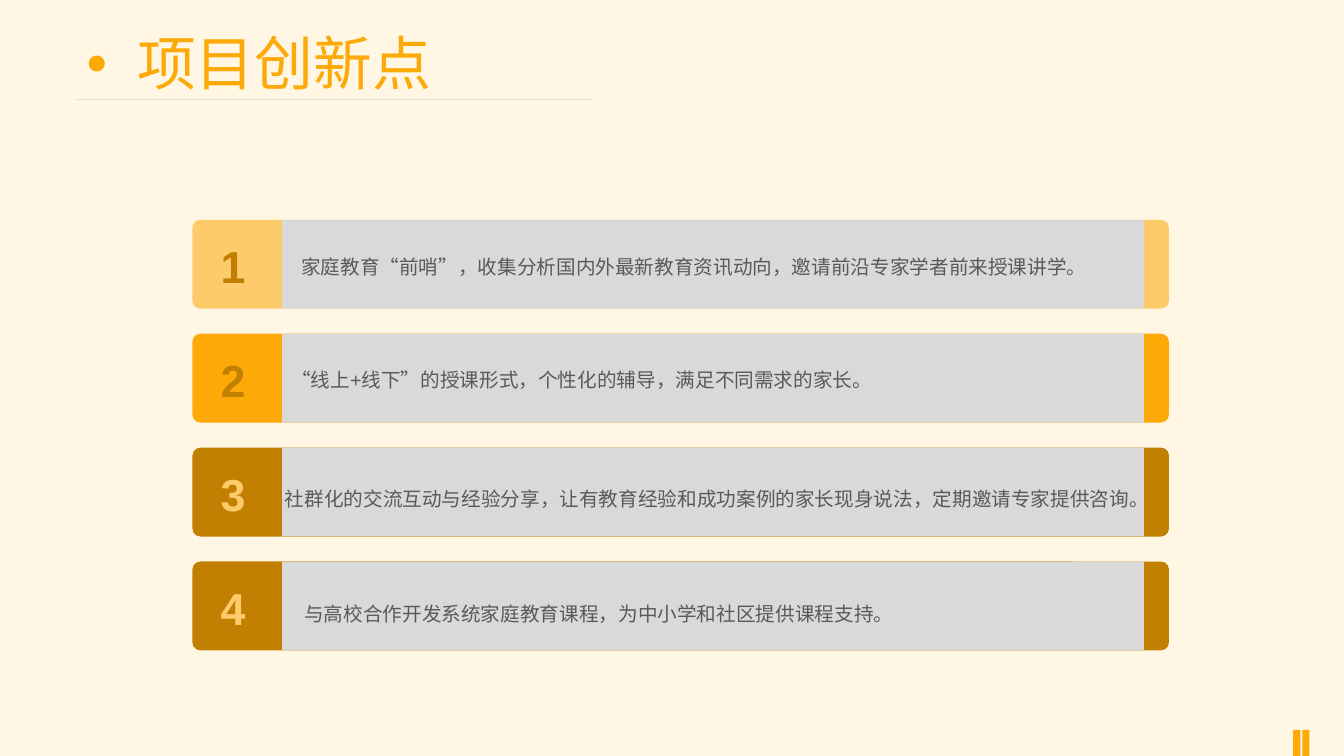
from lxml import etree
from pptx import Presentation
from pptx.dml.color import RGBColor
from pptx.enum.shapes import MSO_CONNECTOR, MSO_SHAPE
from pptx.enum.text import MSO_ANCHOR, MSO_AUTO_SIZE, PP_ALIGN
from pptx.oxml.ns import qn
from pptx.util import Cm, Pt

RECTANGLE = MSO_SHAPE.RECTANGLE
ROUNDED = MSO_SHAPE.ROUNDED_RECTANGLE
STRAIGHT = MSO_CONNECTOR.STRAIGHT
TOP = MSO_ANCHOR.TOP
LEFT = PP_ALIGN.LEFT
NO_AUTOFIT = MSO_AUTO_SIZE.NONE

FONT = "Arial"
CREAM = "FFF6E3"
ORANGE = "FDA907"
PALE_ORANGE = "FECB6A"
BROWN = "C18002"
LIGHT_GRAY = "D9D9D9"
DARK_GRAY = "595959"

FIRST_CARD_TOP = 5.54
CARD_PITCH = 2.87
CARD_HEIGHT = 2.24

# card colour, number colour, text left, text offset from card top, text width, text
INNOVATIONS = [
    (PALE_ORANGE, BROWN, 7.34, 0.58, 20.5,
     "家庭教育“前哨”，收集分析国内外最新教育资讯动向，邀请前沿专家学者前来授课讲学。"),
    (ORANGE, BROWN, 7.09, 0.56, 21.41,
     "“线上+线下”的授课形式，个性化的辅导，满足不同需求的家长。"),
    (BROWN, PALE_ORANGE, 6.93, 0.69, 22.56,
     "社群化的交流互动与经验分享，让有教育经验和成功案例的家长现身说法，定期邀请专家提供咨询。"),
    (BROWN, PALE_ORANGE, 7.42, 0.71, 17.22,
     "与高校合作开发系统家庭教育课程，为中小学和社区提供课程支持。"),
]


def color(hex_string):
    return RGBColor.from_string(hex_string)


def style_paragraph(para, size, hex_string, bold=False):
    para.alignment = LEFT
    para.font.name = FONT
    para.font.size = Pt(size)
    para.font.bold = bold
    para.font.color.rgb = color(hex_string)


def add_block(page, kind, left, top, width, height, fill):
    block = page.shapes.add_shape(kind, Cm(left), Cm(top), Cm(width), Cm(height))
    block.shadow.inherit = False
    block.fill.solid()
    block.fill.fore_color.rgb = color(fill)
    block.line.fill.background()
    return block


def add_text(page, left, top, width, height, text, size, hex_string, bold=False):
    box = page.shapes.add_textbox(Cm(left), Cm(top), Cm(width), Cm(height))
    box.text_frame.word_wrap = True
    para = box.text_frame.paragraphs[0]
    para.text = text
    style_paragraph(para, size, hex_string, bold)
    return para


def add_bullet(para, indent):
    properties = para._p.get_or_add_pPr()
    properties.set("marL", str(indent))
    properties.set("indent", str(-indent))
    etree.SubElement(properties, qn("a:buFont"), typeface=FONT)
    etree.SubElement(properties, qn("a:buChar"), char="•")


def set_title(page, text):
    title = page.shapes.title
    title.left, title.top = Cm(1.93), Cm(0.76)
    title.width, title.height = Cm(22.02), Cm(1.6)
    frame = title.text_frame
    frame.auto_size = NO_AUTOFIT
    frame.vertical_anchor = TOP
    para = frame.paragraphs[0]
    para.text = text
    add_bullet(para, Cm(1.27))
    para.line_spacing = 0.9
    style_paragraph(para, 42, ORANGE)


def add_rule(page, left, right, top):
    rule = page.shapes.add_connector(STRAIGHT, Cm(left), Cm(top), Cm(right), Cm(top))
    rule.line.color.rgb = color(LIGHT_GRAY)
    rule.line.width = Pt(0.75)
    etree.SubElement(rule._element.spPr, qn("a:effectLst"))


def add_card(page, index, innovation):
    fill, number_color, text_left, text_offset, text_width, text = innovation
    top = FIRST_CARD_TOP + index * CARD_PITCH
    card = add_block(page, ROUNDED, 4.85, top, 24.61, CARD_HEIGHT, fill)
    card.adjustments[0] = 0.09
    add_block(page, RECTANGLE, 7.11, top, 21.72, CARD_HEIGHT, LIGHT_GRAY)
    add_text(page, 5.31, top + 0.36, 0.97, 1.63, str(index + 1), 32, number_color, True)
    para = add_text(page, text_left, top + text_offset, text_width, 0.97, text, 14, DARK_GRAY)
    para.line_spacing = 1.3


def main():
    deck = Presentation()
    deck.slide_width, deck.slide_height = Cm(33.87), Cm(19.05)
    page = deck.slides.add_slide(deck.slide_layouts.get_by_name("Title Only"))
    page.background.fill.solid()
    page.background.fill.fore_color.rgb = color(CREAM)
    for left in (32.59, 32.82):
        add_block(page, RECTANGLE, left, 18.39, 0.18, 0.66, ORANGE)
    add_rule(page, 1.93, 14.94, 2.51)
    set_title(page, "项目创新点")
    for index, innovation in enumerate(INNOVATIONS):
        add_card(page, index, innovation)
    deck.save("out.pptx")


if __name__ == "__main__":
    main()
